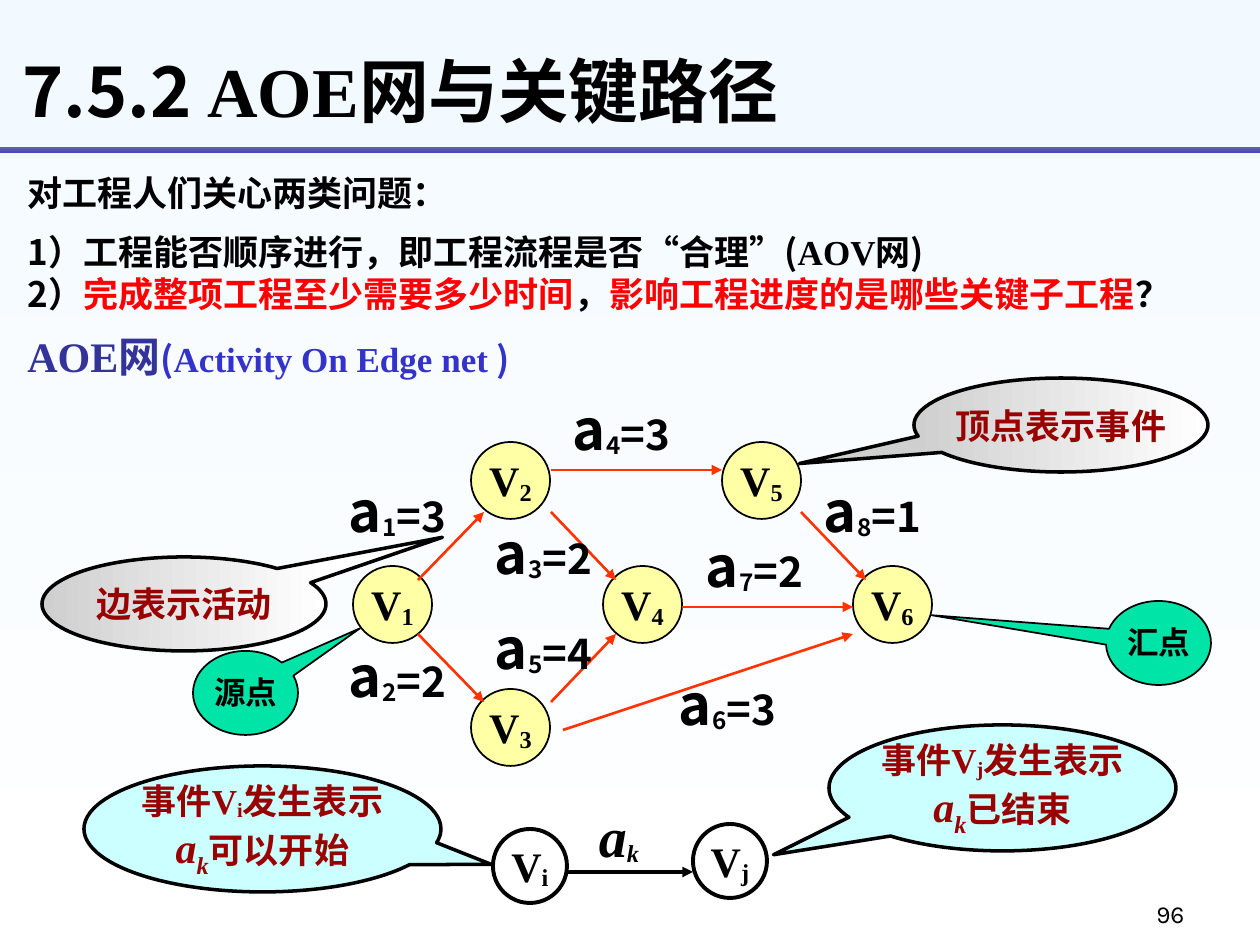
from dataclasses import dataclass

from lxml.etree import SubElement
from pptx import Presentation
from pptx.dml.color import RGBColor
from pptx.enum.shapes import MSO_CONNECTOR, MSO_SHAPE
from pptx.enum.text import MSO_ANCHOR, PP_ALIGN
from pptx.oxml.ns import qn
from pptx.util import Emu, Inches, Pt

PIXEL = Inches(1) / 126
SANS, SERIF = "Noto Sans CJK SC", "Times New Roman"
BLACK, RED, DARK_RED, ORANGE = "000000", "FF0000", "990000", "FF3300"
YELLOW, CYAN, GREEN = "FFFFA5", "CCFFFF", "00E4A8"
GREY_BLEND = ("CFCFCF", "FFFFFF", 0)


@dataclass
class Span:
    """A piece of text with one format."""
    text: str
    size: int = 20
    font: str = SANS
    colour: str = BLACK
    base: int = 0
    italic: bool = False
    bold: bool = True


def px(*lengths):
    """Turn pixel lengths into EMU."""
    return [Emu(round(length * PIXEL)) for length in lengths]


def rgb(code):
    """Turn a hex string into a colour."""
    return RGBColor.from_string(code)


def paint(fill, colour):
    """Fill with nothing, one colour, or a (start, end, angle) gradient."""
    if colour is None:
        fill.background()
    elif isinstance(colour, str):
        fill.solid()
        fill.fore_color.rgb = rgb(colour)
    else:
        fill.gradient()
        fill.gradient_angle = colour[2]
        for stop, code in zip(fill.gradient_stops, colour):
            stop.color.rgb = rgb(code)


def add_span(para, span):
    """Add one formatted run to a paragraph."""
    run = para.add_run()
    run.text = span.text
    font = run.font
    font.name, font.size = span.font, Pt(span.size)
    font.bold, font.italic = span.bold, span.italic
    font.color.rgb = rgb(span.colour)
    properties = run._r.get_or_add_rPr()
    SubElement(properties, qn("a:ea"), typeface=SANS)
    if span.base:
        properties.set("baseline", str(span.base * 1000))


def write(frame, lines, align=PP_ALIGN.LEFT, anchor=MSO_ANCHOR.TOP, wrap=True, before=0, spacing=None):
    """Write paragraphs of spans; None stands for a line break."""
    frame.word_wrap, frame.vertical_anchor = wrap, anchor
    for number, spans in enumerate(lines):
        para = frame.add_paragraph() if number else frame.paragraphs[0]
        para.alignment, para.line_spacing = align, spacing
        if number and before:
            para.space_before = Pt(before)
        for span in spans:
            if span is None:
                para.add_line_break()
            else:
                add_span(para, span)


def add_text(page, place, lines, **layout):
    """Add a text box."""
    write(page.shapes.add_textbox(*px(*place)).text_frame, lines, **layout)


def add_figure(page, kind, place, fill, width=0):
    """Add a preset shape with a black outline or none."""
    figure = page.shapes.add_shape(kind, *px(*place))
    figure.shadow.inherit = False
    paint(figure.fill, fill)
    paint(figure.line.fill, BLACK if width else None)
    if width:
        figure.line.width = Pt(width)
    return figure


def add_node(page, place, index, fill, width):
    """Add a round graph vertex with its subscripted name."""
    node = add_figure(page, MSO_SHAPE.OVAL, place, fill, width)
    name = [Span("V", 24, SERIF), Span(index, 24, SERIF, base=-10)]
    write(node.text_frame, [name], PP_ALIGN.CENTER, MSO_ANCHOR.MIDDLE, False)


def add_arrow(page, ends, colour, width):
    """Add a straight arrow."""
    arrow = page.shapes.add_connector(MSO_CONNECTOR.STRAIGHT, *px(*ends))
    arrow.line.color.rgb = rgb(colour)
    arrow.line.width = Pt(width)
    properties = arrow.element.spPr
    SubElement(properties.find(qn("a:ln")), qn("a:tailEnd"), type="triangle")
    SubElement(properties, qn("a:effectLst"))


def add_callout(page, place, tip, fill, lines):
    """Add a large callout with centred text."""
    callout = add_figure(page, MSO_SHAPE.OVAL_CALLOUT, place, fill, 2)
    callout.adjustments[0], callout.adjustments[1] = tip
    write(callout.text_frame, lines, PP_ALIGN.CENTER, MSO_ANCHOR.MIDDLE, False)


def add_tag(page, place, tip, text):
    """Add a small green callout that names an end vertex."""
    tag = add_figure(page, MSO_SHAPE.OVAL_CALLOUT, place, GREEN, 1)
    tag.adjustments[0], tag.adjustments[1] = tip
    tag.text_frame.margin_left = tag.text_frame.margin_right = 0
    write(tag.text_frame, [[Span(text, 18)]], PP_ALIGN.CENTER, spacing=1.1)


def event_lines(index, outcome):
    """Give the two lines that explain an event."""
    return [
        [Span("事件", colour=DARK_RED), Span("V", 20, SERIF, DARK_RED),
         Span(index, 20, SERIF, DARK_RED, -10), Span("发生表示", colour=DARK_RED)],
        [Span("a", 24, SERIF, DARK_RED, italic=True),
         Span("k", 24, SERIF, DARK_RED, -25, True), Span(outcome, colour=DARK_RED)],
    ]


def add_heading(page):
    """Add the title, rule and introduction."""
    add_text(page, (10, 42, 1092, 94),
             [[Span("7.5.2 ", 40), Span("AOE", 40, SERIF), Span("网与关键路径", 40)]],
             anchor=MSO_ANCHOR.MIDDLE)
    add_figure(page, MSO_SHAPE.RECTANGLE, (0, 147, 1260, 6), ("666699", "4444C2", 270))
    add_text(page, (15, 165, 1187, 160), [
        [Span("对工程人们关心两类问题：")],
        [Span("1）工程能否顺序进行，即工程流程是否"), Span("“", font=SERIF), Span("合理"),
         Span("”", font=SERIF), Span("("), Span("AOV", font=SERIF), Span("网)"), None,
         Span("2）"), Span("完成整项工程至少需要多少时间", colour=RED), Span("，"),
         Span("影响工程进度的是哪些关键子工程", colour=RED), Span("？")],
    ], before=10)
    add_text(page, (15, 324, 609, 63), [
        [Span("AOE网", 24, SERIF, "333399"), Span("(", colour="3333CC"),
         Span("Activity On Edge net", 20, SERIF, "3333CC"), Span(" )", colour="3333CC")]])


def add_network(page):
    """Add the vertices, edges and edge weights of the network."""
    nodes = {"1": (353, 566), "2": (471, 442), "3": (471, 689),
             "4": (603, 566), "5": (722, 442), "6": (853, 566)}
    for index, corner in nodes.items():
        add_node(page, (*corner, 79, 77), index, YELLOW, 1)
    edges = [
        ("1", "3", (418, 580, 484, 512), (325, 470)),
        ("2", "2", (418, 634, 484, 702), (325, 635)),
        ("3", "2", (551, 512, 616, 580), (471, 512)),
        ("4", "3", (551, 470, 722, 470), (549, 388)),
        ("5", "4", (551, 702, 616, 634), (471, 607)),
        ("6", "3", (563, 730, 853, 634), (655, 663)),
        ("7", "2", (682, 607, 853, 607), (682, 525)),
        ("8", "1", (801, 512, 866, 580), (800, 470)),
    ]
    for index, weight, ends, corner in edges:
        add_arrow(page, ends, ORANGE, 1.5)
        label = [Span("a", 32), Span(index, 24, base=-10), Span("=" + weight, 24)]
        add_text(page, (*corner, 145, 79), [label], align=PP_ALIGN.CENTER)


def add_activity(page):
    """Add the single activity between two events."""
    add_arrow(page, (567, 872, 693, 872), BLACK, 2)
    add_text(page, (535, 809, 168, 53),
             [[Span("a", 32, SERIF, italic=True), Span("k", 24, SERIF, base=-10, italic=True)]],
             align=PP_ALIGN.CENTER, anchor=MSO_ANCHOR.MIDDLE, wrap=False)
    add_node(page, (693, 824, 74, 74), "j", None, 2.25)
    add_node(page, (493, 829, 74, 74), "i", None, 2.25)


def main():
    """Build and save the deck."""
    deck = Presentation()
    deck.slide_width, deck.slide_height = px(1260, 945)
    page = deck.slides.add_slide(deck.slide_layouts[6])
    paint(page.background.fill, ("F3FAFF", "FFFFFF", 270))
    add_heading(page)
    add_network(page)
    add_callout(page, (914, 378, 294, 94), (-0.89, 0.41), GREY_BLEND,
                [[Span("顶点表示事件", colour=DARK_RED)]])
    add_callout(page, (42, 557, 284, 94), (0.91, -0.71), GREY_BLEND,
                [[Span("边表示活动", colour=DARK_RED)]])
    add_callout(page, (829, 725, 347, 126), (-0.66, 0.53), CYAN, event_lines("j", "已结束"))
    add_activity(page)
    add_callout(page, (84, 766, 357, 126), (0.64, 0.28), CYAN, event_lines("i", "可以开始"))
    add_tag(page, (193, 651, 105, 84), (1.09, -0.77), "源点")
    add_tag(page, (1106, 601, 105, 84), (-2.16, -0.33), "汇点")
    add_text(page, (935, 872, 262, 63), [[Span("96", 14, "Karla", bold=False)]],
             align=PP_ALIGN.RIGHT, anchor=MSO_ANCHOR.BOTTOM, spacing=1.1)
    deck.save("out.pptx")


if __name__ == "__main__":
    main()
